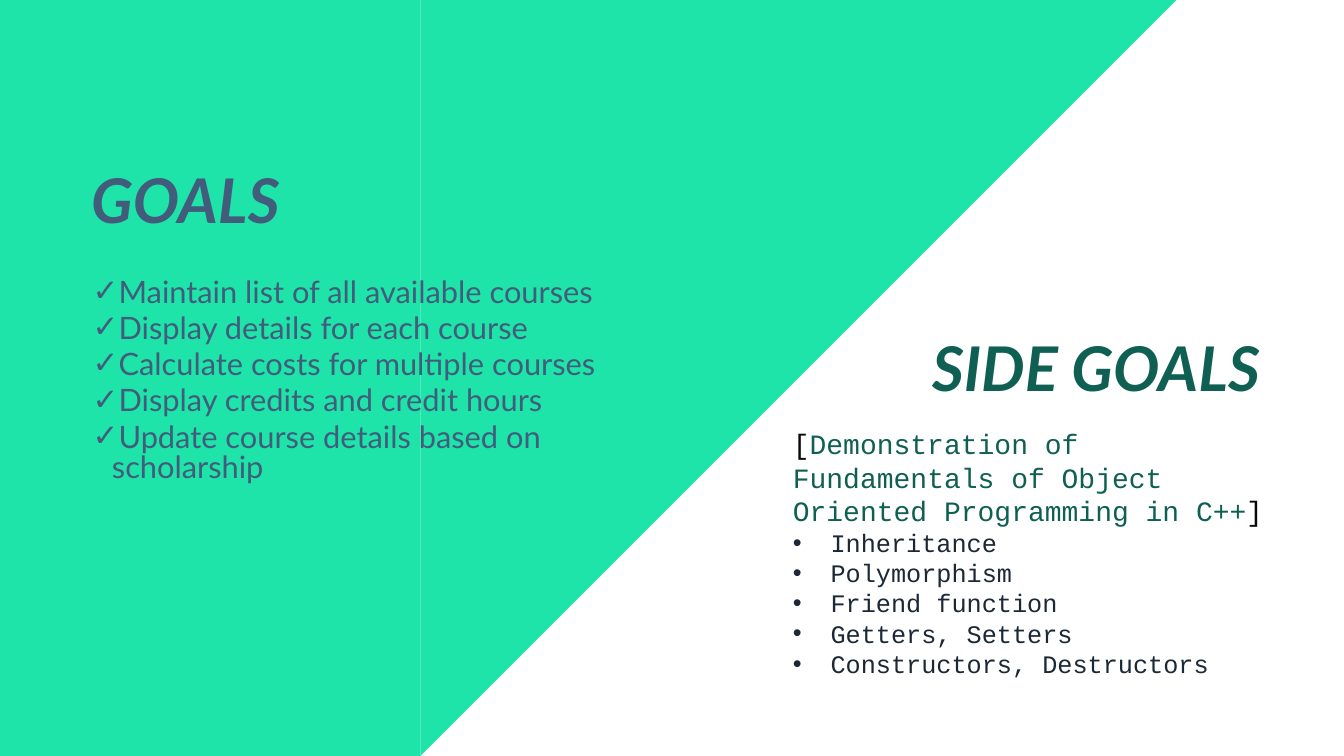
import pptx
import pptx.util
import pptx.dml.color
import pptx.enum.shapes
import pptx.enum.text
import lxml.etree
from pptx.oxml.ns import qn

Cm, Pt = pptx.util.Cm, pptx.util.Pt
SHAPE = pptx.enum.shapes.MSO_SHAPE
ALIGN = pptx.enum.text.PP_ALIGN

COLORS = {
    "green": "1FE4A9",
    "slate": "415D7B",
    "teal": "0F6052",
    "black": "090909",
    "ink": "1C2835",
}


class GoalsSlide:
    heading_font = "Lato"
    code_font = "Courier New"

    def __init__(self, prs):
        self.s = prs.slides.add_slide(prs.slide_layouts[3])

    def color(self, name):
        return pptx.dml.color.RGBColor.from_string(COLORS[name])

    def panel(self, kind, x, y, w, h, rotation=0):
        sp = self.s.shapes.add_shape(kind, Cm(x), Cm(y), Cm(w), Cm(h))
        sp.rotation = rotation
        sp.shadow.inherit = False
        sp.fill.solid()
        sp.fill.fore_color.rgb = self.color("green")
        sp.line.fill.background()

    def frame(self, sp, x, y, w, h, inset=(0.25, 0.13)):
        sp.element.getparent().append(sp.element)
        sp.left, sp.top, sp.width, sp.height = Cm(x), Cm(y), Cm(w), Cm(h)
        tf = sp.text_frame
        tf.word_wrap = True
        tf.auto_size = pptx.enum.text.MSO_AUTO_SIZE.NONE
        tf.vertical_anchor = pptx.enum.text.MSO_ANCHOR.TOP
        tf.margin_left = tf.margin_right = Cm(inset[0])
        tf.margin_top = tf.margin_bottom = Cm(inset[1])
        return tf

    def run(self, p, text, font, size, color, strong=False):
        r = p.add_run()
        r.text = text
        r.font.name = font
        r.font.size = Pt(size)
        r.font.color.rgb = self.color(color)
        r.font.bold = r.font.italic = strong

    def heading(self, sp, text, color, align, *box):
        p = self.frame(sp, *box).paragraphs[0]
        p.alignment = align
        self.run(p, text, self.heading_font, 88, color, True)

    def paragraph(self, tf, bullet=None, indent=0, before=0, line=None):
        p = tf.paragraphs[0]
        if p.runs:
            p = tf.add_paragraph()
        p.space_before = Pt(before)
        p.line_spacing = Pt(line) if line else 1.0
        pPr = p._p.get_or_add_pPr()
        pPr.set("marL", str(Cm(indent)))
        pPr.set("indent", str(-Cm(indent)))
        if bullet:
            lxml.etree.SubElement(pPr, qn("a:buChar")).set("char", bullet)
        else:
            lxml.etree.SubElement(pPr, qn("a:buNone"))
        return p

    def goals(self, sp, items, *box):
        tf = self.frame(sp, *box, inset=(0.61, 0.3))
        for item in items:
            p = self.paragraph(tf, "✓", 0.97, 8.8, 43)
            self.run(p, item, self.heading_font, 44, "slate")

    def side_goals(self, sp, intro, items, *box):
        tf = self.frame(sp, *box)
        p = self.paragraph(tf)
        for text, color in (("[", "black"), (intro, "teal"), ("]", "black")):
            self.run(p, text, self.code_font, 40, color)
        for item in items:
            p = self.paragraph(tf, "•", 1.9)
            self.run(p, item, self.code_font, 36, "ink")


prs = pptx.Presentation()
prs.slide_width, prs.slide_height = Cm(67.72), Cm(38.1)
slide = GoalsSlide(prs)
title, left_body, right_body = list(slide.s.placeholders)[:3]

slide.panel(SHAPE.RIGHT_TRIANGLE, 21.18, 0, 38.1, 38.1, 90)
slide.panel(SHAPE.RECTANGLE, 0, 0, 21.18, 38.1)

slide.heading(title, "GOALS", "slate", ALIGN.LEFT, 4.34, 8.05, 15.14, 4.01)
slide.side_goals(
    right_body,
    "Demonstration of Fundamentals of Object Oriented Programming in C++",
    ["Inheritance", "Polymorphism", "Friend function", "Getters, Setters",
     "Constructors, Destructors"],
    39.7, 21.36, 25.86, 13.08)
slide.goals(
    left_body,
    ["Maintain list of all available courses",
     "Display details for each course",
     "Calculate costs for multiple courses",
     "Display credits and credit hours",
     "Update course details based on scholarship"],
    4.06, 13.77, 29.31, 11.3)
side_title = slide.s.shapes.add_textbox(0, 0, 0, 0)
slide.heading(side_title, "SIDE GOALS", "teal", ALIGN.RIGHT,
              42.37, 16.48, 21.36, 4.01)

prs.save("out.pptx")
